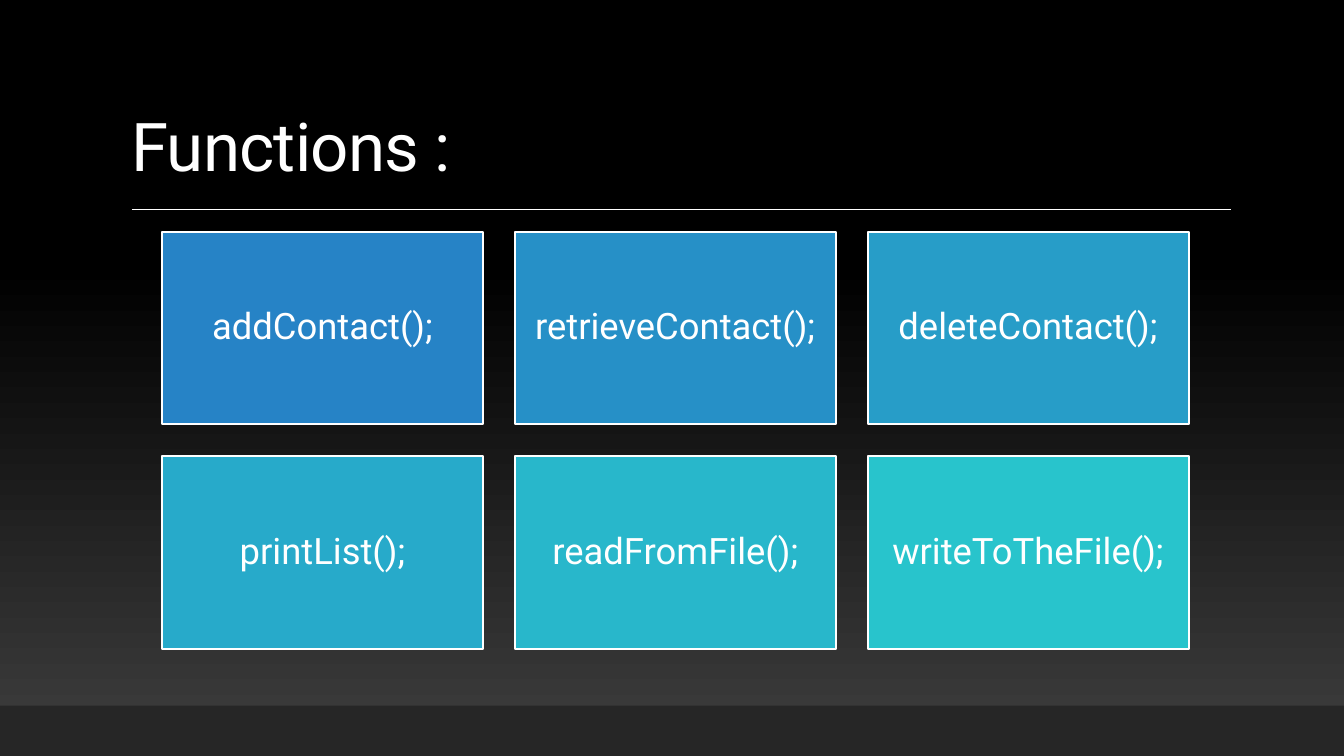
from dataclasses import dataclass

from lxml.etree import SubElement
from pptx import Presentation
from pptx.dml.color import RGBColor as RGB
from pptx.enum.shapes import MSO_CONNECTOR as Connector, MSO_SHAPE as Shape
from pptx.enum.text import MSO_ANCHOR as Anchor, MSO_AUTO_SIZE as AutoSize, PP_ALIGN as Align
from pptx.oxml.ns import qn
from pptx.shapes.shapetree import GroupShapes, SlideShapes
from pptx.slide import Slide
from pptx.text.text import TextFrame
from pptx.util import Pt


@dataclass(frozen=True)
class Theme:
    font: str = "Roboto"
    text: RGB = RGB(0xFF, 0xFF, 0xFF)
    glow: RGB = RGB(0x3F, 0x3F, 0x3F)
    dark: RGB = RGB(0x00, 0x00, 0x00)
    footer: RGB = RGB(0x26, 0x26, 0x26)
    title_size: float = 48
    tile_size: float = 26
    rule_width: float = 1
    border_width: float = 1.25


@dataclass(frozen=True)
class Box:
    left: float
    top: float
    width: float
    height: float


@dataclass(frozen=True)
class Tile:
    label: str
    color: str


THEME = Theme()
SLIDE_W, SLIDE_H = 960, 540
TITLE = Box(86.4, 22.3, 792, 114.5)
FOOTER = Box(0, 504, SLIDE_W, 36)
RULE_LEFT, RULE_RIGHT, RULE_Y = 94.3, 879, 149.5
FIRST_TILE = Box(115.9, 165.6, 229.2, 137.5)
TILE_GAP = 22.8
TILE_INSET = 7.8
COLUMNS = 3
TILES = [
    Tile("addContact();", "2683C6"),
    Tile("retrieveContact();", "2690C7"),
    Tile("deleteContact();", "279DC8"),
    Tile("printList();", "27AACA"),
    Tile("readFromFile();", "28B7CB"),
    Tile("writeToTheFile();", "28C4CC"),
]


def paint_background(s: Slide) -> None:
    fill = s.background.fill
    fill.gradient()
    fill.gradient_angle = 90
    for stop, color, position in zip(fill.gradient_stops, (THEME.glow, THEME.dark), (0, 0.65)):
        stop.color.rgb = color
        stop.position = position


def write_text(tf: TextFrame, text: str, size: float, align: Align, anchor: Anchor, spacing: float = 0) -> None:
    tf.word_wrap = True
    tf.auto_size = AutoSize.NONE
    tf.vertical_anchor = anchor
    p = tf.paragraphs[0]
    p.alignment = align
    p.line_spacing = 0.9
    r = p.add_run()
    r.text = text
    r.font.name = THEME.font
    r.font.size = Pt(size)
    r.font.color.rgb = THEME.text
    if spacing:
        r.font._element.set("spc", str(round(spacing * 100)))


def add_title(s: Slide, text: str) -> None:
    sp = s.shapes.title
    sp.left, sp.top = Pt(TITLE.left), Pt(TITLE.top)
    sp.width, sp.height = Pt(TITLE.width), Pt(TITLE.height)
    write_text(sp.text_frame, text, THEME.title_size, Align.LEFT, Anchor.BOTTOM, -0.5)


def add_rule(shapes: SlideShapes) -> None:
    line = shapes.add_connector(Connector.STRAIGHT, Pt(RULE_LEFT), Pt(RULE_Y), Pt(RULE_RIGHT), Pt(RULE_Y))
    line.line.color.rgb = THEME.text
    line.line.width = Pt(THEME.rule_width)
    SubElement(line._element.spPr, qn("a:effectLst"))


def add_rect(shapes: SlideShapes | GroupShapes, box: Box, color: RGB, border: float = 0) -> TextFrame:
    sp = shapes.add_shape(Shape.RECTANGLE, Pt(box.left), Pt(box.top), Pt(box.width), Pt(box.height))
    sp.shadow.inherit = False
    sp.fill.solid()
    sp.fill.fore_color.rgb = color
    if border:
        sp.line.color.rgb = THEME.text
        sp.line.width = Pt(border)
    else:
        sp.line.fill.background()
    return sp.text_frame


def add_tile(shapes: GroupShapes, tile: Tile, index: int) -> None:
    row, column = divmod(index, COLUMNS)
    first = FIRST_TILE
    box = Box(
        first.left + column * (first.width + TILE_GAP),
        first.top + row * (first.height + TILE_GAP),
        first.width,
        first.height,
    )
    tf = add_rect(shapes, box, RGB.from_string(tile.color), THEME.border_width)
    tf.margin_left = tf.margin_right = tf.margin_top = tf.margin_bottom = Pt(TILE_INSET)
    write_text(tf, tile.label, THEME.tile_size, Align.CENTER, Anchor.MIDDLE)


def main() -> None:
    prs = Presentation()
    prs.slide_width, prs.slide_height = Pt(SLIDE_W), Pt(SLIDE_H)
    s = prs.slides.add_slide(prs.slide_layouts[5])
    paint_background(s)
    add_title(s, "Functions :")
    add_rule(s.shapes)
    add_rect(s.shapes, FOOTER, THEME.footer)
    tiles = s.shapes.add_group_shape().shapes
    for index, tile in enumerate(TILES):
        add_tile(tiles, tile, index)
    prs.save("out.pptx")


if __name__ == "__main__":
    main()
